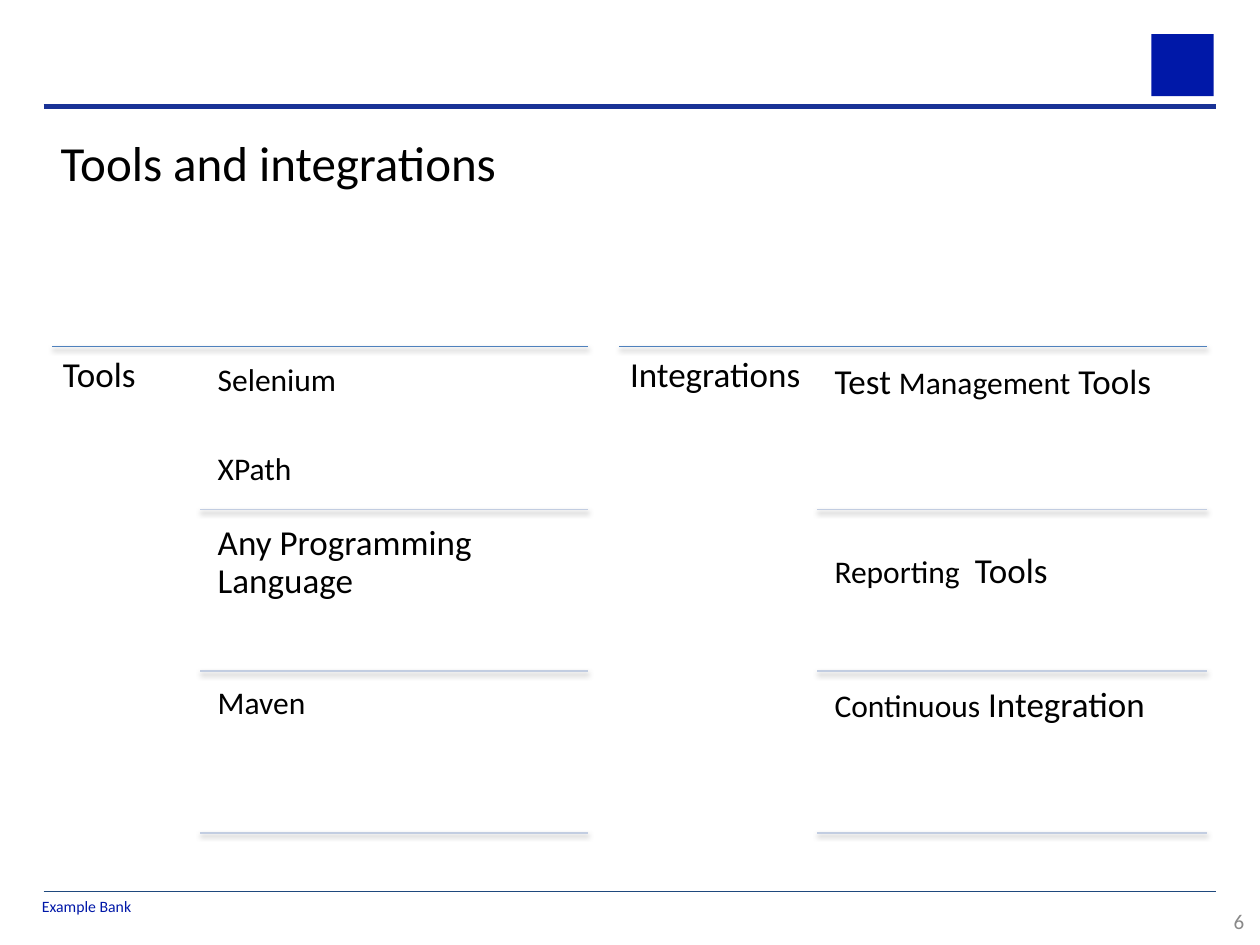
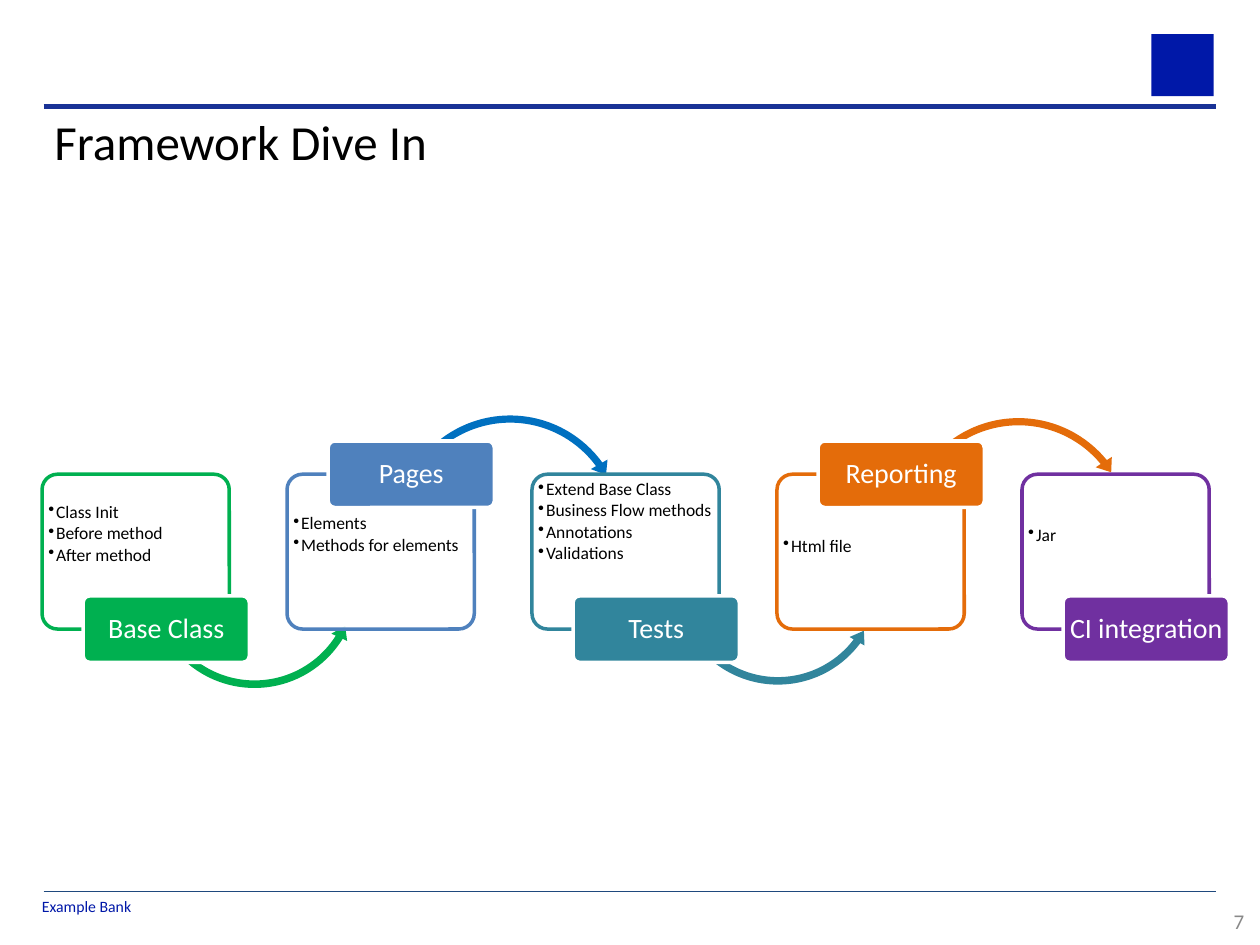
"""Build two slides on a test framework: its tools and integrations, and its stages."""
from lxml.etree import SubElement
from pptx import Presentation
from pptx.dml.color import RGBColor
from pptx.enum.shapes import MSO_CONNECTOR, MSO_SHAPE
from pptx.enum.text import MSO_ANCHOR, PP_ALIGN
from pptx.oxml.ns import qn
from pptx.util import Pt

BLACK, WHITE, BRAND_BLUE = "000000", "FFFFFF", "0018A8"
color = RGBColor.from_string


def write(shape, lines, size, ink=BLACK, align=PP_ALIGN.LEFT, anchor=MSO_ANCHOR.TOP,
          margins=(7.2, 3.6, 7.2, 3.6), spacing=1.0, gap=0, bullet=False, wrap=True):
    """Fill a shape with lines, each a string or a list of (text, size) runs."""
    frame = shape.text_frame
    frame.word_wrap = wrap
    frame.vertical_anchor = anchor
    frame.margin_left, frame.margin_top, frame.margin_right, frame.margin_bottom = map(Pt, margins)
    for index, line in enumerate(lines):
        paragraph = frame.add_paragraph() if index else frame.paragraphs[0]
        paragraph.alignment = align
        paragraph.line_spacing = spacing
        if index:
            paragraph.space_before = Pt(gap)
        if bullet:
            properties = paragraph._p.get_or_add_pPr()
            properties.set("marL", str(Pt(4.5)))
            properties.set("indent", str(Pt(-4.5)))
            SubElement(properties, qn("a:buChar"), char="•")
        paragraph.font.name = "Calibri"
        paragraph.font.color.rgb = color(ink)
        if isinstance(line, str):
            paragraph.font.size = Pt(size)
            paragraph.add_run().text = line
        else:
            for text, run_size in line:
                run = paragraph.add_run()
                run.text = text
                run.font.size = Pt(run_size)


def draw_rule(slide, left, right, y, ink, width, shadow_alpha=0):
    """Draw a horizontal line, with a soft shadow below it if an alpha is given."""
    rule = slide.shapes.add_connector(MSO_CONNECTOR.STRAIGHT, Pt(left), Pt(y), Pt(right), Pt(y))
    rule.line.color.rgb = color(ink)
    rule.line.width = Pt(width)
    effects = SubElement(rule._element.spPr, qn("a:effectLst"))
    if shadow_alpha:
        shadow = SubElement(effects, qn("a:outerShdw"), blurRad=str(Pt(3.1)),
                            dist=str(Pt(1.7)), dir="5400000", rotWithShape="0")
        tint = SubElement(shadow, qn("a:srgbClr"), val=BLACK)
        SubElement(tint, qn("a:alpha"), val=str(shadow_alpha * 1000))


deck = Presentation()
deck.slide_width, deck.slide_height = Pt(720), Pt(540)

titles = [
    ("Tools and integrations", (24, 72, 270, 36), PP_ALIGN.CENTER),
    ("Framework Dive In", (24, 60, 588, 45), PP_ALIGN.LEFT),
]
for number, (title, title_box, title_align) in enumerate(titles, start=6):
    slide = deck.slides.add_slide(deck.slide_layouts[6])
    emblem = slide.shapes.add_shape(MSO_SHAPE.RECTANGLE, Pt(658), Pt(19.5), Pt(35.5), Pt(35.5))
    emblem.shadow.inherit = False
    emblem.fill.solid()
    emblem.fill.fore_color.rgb = color(BRAND_BLUE)
    emblem.line.fill.background()
    draw_rule(slide, 25, 695, 61, "193296", 3)
    draw_rule(slide, 25, 695, 509.5, "1F497D", 0.5)
    write(slide.shapes.add_textbox(Pt(24), Pt(512.5), Pt(100), Pt(11)),
          ["Example Bank"], 9, BRAND_BLUE, margins=(0, 0, 0, 0))
    write(slide.shapes.add_textbox(Pt(550), Pt(512), Pt(168), Pt(28.8)),
          [str(number)], 12, "898989", PP_ALIGN.RIGHT, MSO_ANCHOR.MIDDLE)
    write(slide.shapes.add_textbox(*map(Pt, title_box)), [title], 28, align=title_align)

tools_slide, framework_slide = deck.slides

columns = [
    ("Tools", 30, 119, 336, [
        ["Selenium", "XPath"],
        [[("Any Programming Language", 20)]],
        ["Maven"],
    ]),
    ("Integrations", 354, 471.5, 690, [
        [[("Test ", 20), ("Management", 18), (" Tools", 20)]],
        [[("Reporting", 18), (" ", 38), ("Tools", 20)]],
        [[("Continuous", 18), (" Integration", 20)]],
    ]),
]
top, row_height = 198, 92.5
for heading, left, item_left, right, items in columns:
    draw_rule(tools_slide, left, right, top, "4F81BD", 0.75, 35)
    write(tools_slide.shapes.add_textbox(Pt(left), Pt(top), Pt(item_left - left), Pt(282)),
          [heading], 20, margins=(6, 6, 0, 6), spacing=0.9)
    for row, item in enumerate(items):
        item_top = top + 4.5 + row * row_height
        write(tools_slide.shapes.add_textbox(Pt(item_left), Pt(item_top),
                                             Pt(right - item_left), Pt(88)),
              item, 18, margins=(5.4,) * 4, spacing=0.9, gap=31.5)
        draw_rule(tools_slide, item_left - 4.5, right, item_top + 88.5, "C2CDE1", 0.75, 38)

LOWER_ARC = MSO_SHAPE.LEFT_CIRCULAR_ARROW, (0.035, 4.37, 22.13, 90.24, 0.04)
UPPER_ARC = MSO_SHAPE.CIRCULAR_ARROW, (0.03, 3.93, 194.32, 125.76, 0.04)
stages = [
    ("Base Class", "00B050", ["Class Init", "Before method", "After method"], 1,
     ("00B050", 83.5, 272, 124, 355.1)),
    ("Pages", "4F81BD", ["Elements", "Methods for elements"], 0,
     ("0070C0", 223, 234, 137, 0)),
    ("Tests", "31859C", ["Extend Base Class", "Business Flow methods", "Annotations",
                         "Validations"], 0,
     ("31859C", 383, 271, 123, 0)),
    ("Reporting", "E46C0A", ["Html file"], 1,
     ("E46C0A", 513.5, 235.5, 137, 356.8)),
    ("CI integration", "7030A0", ["Jar"], 2, None),
]
for index, (stage, accent, points, lines_down, arc) in enumerate(stages):
    label_above = index % 2 == 1
    card_left = 24 + 140 * index
    card = framework_slide.shapes.add_shape(MSO_SHAPE.ROUNDED_RECTANGLE, Pt(card_left), Pt(271),
                                            Pt(107), Pt(88.5))
    card.shadow.inherit = False
    card.adjustments[0] = 0.1
    card.fill.solid()
    card.fill.fore_color.rgb = color(WHITE)
    card_tint = card._element.spPr.find(qn("a:solidFill")).find(qn("a:srgbClr"))
    SubElement(card_tint, qn("a:alpha"), val="90000")
    card.line.color.rgb = color(accent)
    card.line.width = Pt(2)
    points_top = 1 + 13 * lines_down + (19.5 if label_above else 0)
    write(card, points, 10, margins=(1, points_top, 0, 0), spacing=0.9, gap=1.4, bullet=True)

    if arc:
        arc_ink, arc_left, arc_top, arc_size, arc_turn = arc
        arc_kind, arc_bends = UPPER_ARC if label_above else LOWER_ARC
        arrow = framework_slide.shapes.add_shape(arc_kind, Pt(arc_left), Pt(arc_top),
                                                 Pt(arc_size), Pt(arc_size))
        arrow.shadow.inherit = False
        arrow.rotation = arc_turn
        for bend, amount in enumerate(arc_bends):
            arrow.adjustments[bend] = amount
        arrow.fill.solid()
        arrow.fill.fore_color.rgb = color(arc_ink)
        arrow.line.fill.background()

    label = framework_slide.shapes.add_shape(MSO_SHAPE.ROUNDED_RECTANGLE, Pt(card_left + 23.5),
                                             Pt(252 if label_above else 340.5), Pt(95), Pt(38))
    label.shadow.inherit = False
    label.adjustments[0] = 0.1
    label.fill.solid()
    label.fill.fore_color.rgb = color(accent)
    label.line.color.rgb = color(WHITE)
    label.line.width = Pt(2)
    write(label, [stage], 16, WHITE, PP_ALIGN.CENTER, MSO_ANCHOR.MIDDLE,
          margins=(2, 1.5, 2, 1.5), spacing=0.9, wrap=False)

deck.save("out.pptx")
